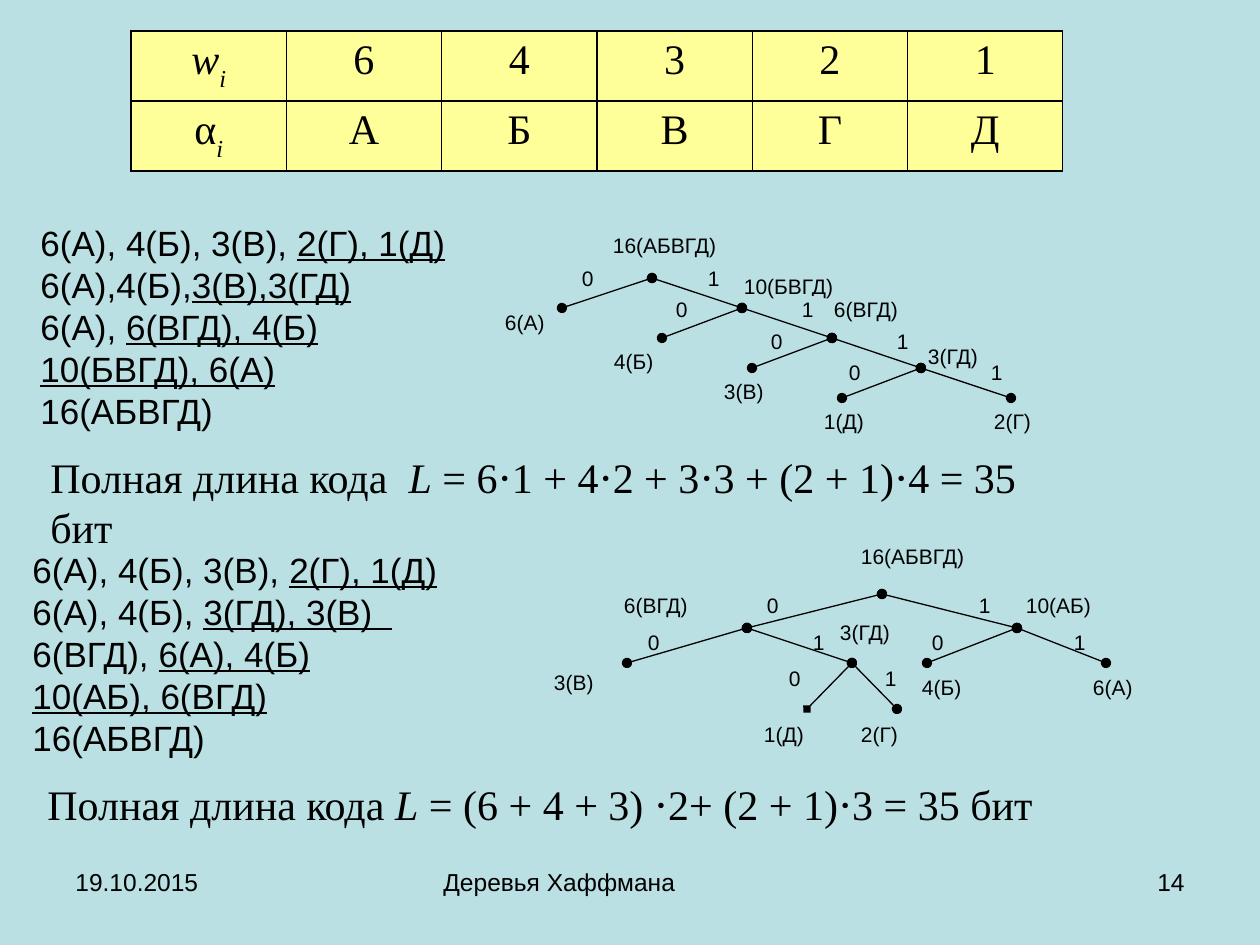
from lxml import etree
from pptx import Presentation, util as u
from pptx.dml.color import RGBColor
from pptx.enum import shapes, text
from pptx.oxml import ns

PX = 914400 // 126
BACKGROUND, INK, CELL = "BBE0E3", "000000", "FFFF99"
SANS, SERIF = "Arial", "Times New Roman"


def paint(color_format, color):
    """Give a fill a solid hex colour."""
    color_format.solid()
    color_format.fore_color.rgb = RGBColor.from_string(color)


def write(frame, lines, font, size, align=text.PP_ALIGN.LEFT):
    """Write lines of (words, style) runs; styles: u underline, i italic, s subscript."""
    frame.word_wrap = True
    for number, runs in enumerate(lines):
        paragraph = frame.add_paragraph() if number else frame.paragraphs[0]
        paragraph.alignment = align
        for words, style in runs:
            run = paragraph.add_run()
            run.text = words
            run.font.name, run.font.size = font, u.Pt(size)
            run.font.underline = "u" in style
            run.font.italic = "i" in style
            paint(run.font.fill, INK)
            if "s" in style:
                run.font._element.set("baseline", "-30000")


deck = Presentation()
deck.slide_width, deck.slide_height = 1260 * PX, 945 * PX
slide = deck.slides.add_slide(deck.slide_layouts[6])
paint(slide.background.fill, BACKGROUND)

# Weights and letters
weights = [[("w", "i"), ("i", "is")]] + [[(w, "")] for w in "64321"]
letters = [[("α", ""), ("i", "is")]] + [[(a, "")] for a in "АБВГД"]
code_table = slide.shapes.add_table(2, 6, 131 * PX, 31 * PX, 932 * PX, 140 * PX).table
code_table.first_row = code_table.horz_banding = False
for column in code_table.columns:
    column.width = 932 * PX // 6
for row, contents in enumerate((weights, letters)):
    for col, runs in enumerate(contents):
        cell = code_table.cell(row, col)
        write(cell.text_frame, [runs], SERIF, 24, text.PP_ALIGN.CENTER)
        paint(cell.fill, CELL)
        properties = cell._tc.get_or_add_tcPr()
        for place, side in enumerate(("lnL", "lnR", "lnT", "lnB")):
            border = etree.Element(ns.qn("a:" + side), w="9525")
            solid = etree.SubElement(border, ns.qn("a:solidFill"))
            etree.SubElement(solid, ns.qn("a:srgbClr"), val=INK)
            properties.insert(place, border)

# Trees: labels as (words, left, top, width, height), nodes by name, edges by node names
first_labels = [
    ("6(ВГД)", 832, 296, 79, 25), ("4(Б)", 612, 348, 48, 25), ("6(А)", 503, 309, 50, 30),
    ("10(БВГД)", 742, 273, 115, 25), ("3(ГД)", 926, 343, 79, 25), ("3(В)", 722, 378, 48, 25),
    ("1(Д)", 822, 408, 48, 25), ("2(Г)", 992, 408, 48, 25), ("16(АБВГД)", 611, 232, 112, 25),
]
for level, (zero_left, one_left) in enumerate([(580, 706), (674, 800), (769, 895), (847, 989)]):
    top = round(265 + 31.4 * level)
    first_labels += [("0", zero_left, top, 16, 32), ("1", one_left, top, 16, 32)]
first_nodes = {"АБВГД": (652, 278), "А": (562, 308), "БВГД": (742, 308), "Б": (662, 338),
               "ВГД": (832, 338), "В": (752, 368), "ГД": (921, 368), "Д": (842, 398),
               "Г": (1011, 398)}
first_edges = [("АБВГД", "А"), ("БВГД", "ВГД"), ("ГД", "Г"), ("БВГД", "Б"), ("ВГД", "В"),
               ("ГД", "Д"), ("АБВГД", "БВГД"), ("ВГД", "ГД")]

second_labels = [("3(ГД)", 838, 619, 94, 29)]
second_labels += [(bit, left, top, 24, 36) for bit, left, top in [
    ("1", 883, 665), ("1", 811, 629), ("1", 1072, 629), ("1", 977, 592),
    ("0", 930, 629), ("0", 646, 629), ("0", 765, 592), ("0", 787, 665)]]
second_labels += [
    ("10(АБ)", 1024, 592, 112, 29), ("6(ВГД)", 622, 592, 112, 29), ("3(В)", 552, 669, 82, 29),
    ("4(Б)", 920, 674, 82, 29), ("1(Д)", 762, 721, 82, 29), ("2(Г)", 859, 721, 82, 29),
    ("6(А)", 1091, 674, 82, 29), ("16(АБВГД)", 859, 543, 165, 29)]
second_nodes = {"АБВГД": (882, 594), "ВГД": (747, 628), "АБ": (1017, 628), "В": (627, 663),
                "ГД": (852, 663), "Б": (927, 663), "А": (1106, 663), "Д": (807, 709),
                "Г": (897, 709)}
second_edges = [("АБВГД", "ВГД"), ("ВГД", "В"), ("ВГД", "ГД"), ("ГД", "Д"), ("ГД", "Г"),
                ("АБ", "Б"), ("АБ", "А"), ("АБВГД", "АБ")]

for labels, nodes, edges, odd_edge in (
        (first_labels, first_nodes, first_edges, None),
        (second_labels, second_nodes, second_edges, ("ГД", "Д"))):
    for words, *bounds in labels:
        label = slide.shapes.add_shape(shapes.MSO_SHAPE.RECTANGLE, *(b * PX for b in bounds))
        label.shadow.inherit = False
        paint(label.fill, BACKGROUND)
        label.line.fill.background()
        frame = label.text_frame
        frame.margin_left = frame.margin_right = 2 * PX
        frame.margin_top = frame.margin_bottom = PX
        frame.vertical_anchor = text.MSO_ANCHOR.TOP
        write(frame, [[(words, "")]], SANS, 12)
    for parent, child in edges:
        ends = (n * PX for n in nodes[parent] + nodes[child])
        edge = slide.shapes.add_connector(shapes.MSO_CONNECTOR.STRAIGHT, *ends)
        edge.line.width = u.Pt(0.75)
        paint(edge.line.fill, INK)
        dot = "diamond" if (parent, child) == odd_edge else "oval"
        for end in ("a:headEnd", "a:tailEnd"):
            etree.SubElement(edge.line._get_or_add_ln(), ns.qn(end), type=dot)
        etree.SubElement(edge._element.spPr, ns.qn("a:effectLst"))

# Merging steps, code lengths and footer
first_steps = [
    [("6(А), 4(Б), 3(В), ", ""), ("2(Г), 1(Д)", "u")],
    [("6(А),4(Б),", ""), ("3(В),3(ГД)", "u")],
    [("6(А), ", ""), ("6(ВГД), 4(Б)", "u")],
    [("10(БВГД), 6(А)", "u")],
    [("16(АБВГД)", "")]]
second_steps = [
    [("6(А), 4(Б), 3(В), ", ""), ("2(Г), 1(Д)", "u")],
    [("6(А), 4(Б), ", ""), ("3(ГД), 3(В)  ", "u")],
    [("6(ВГД), ", ""), ("6(А), 4(Б)", "u")],
    [("10(АБ), 6(ВГД)", "u")],
    [("16(АБВГД)", "")]]
first_length = [[("Полная длина кода  ", ""), ("L\u00a0", "i"), (
    "=\u00a06⋅1\u00a0+\u00a04⋅2\u00a0+\u00a03⋅3\u00a0+\u00a0(2\u00a0+\u00a01)⋅4\u00a0=\u00a035 бит", "")]]
second_length = [[("Полная длина кода ", ""), ("L\u00a0", "i"), (
    "=\u00a0(6\u00a0+\u00a04\u00a0+\u00a03)\u00a0⋅2+\u00a0(2\u00a0+\u00a01)⋅3\u00a0=\u00a035 бит", "")]]
LEFT, RIGHT = text.PP_ALIGN.LEFT, text.PP_ALIGN.RIGHT
for bounds, lines, font, size, align in [
        ((28, 215, 436, 224), first_steps, SANS, 20, LEFT),
        ((20, 542, 436, 224), second_steps, SANS, 20, LEFT),
        ((38, 445, 1056, 63), first_length, SERIF, 24, LEFT),
        ((35, 772, 1138, 63), second_length, SERIF, 24, LEFT),
        ((63, 861, 294, 65), [[("19.10.2015", "")]], SANS, 14, LEFT),
        ((431, 861, 399, 65), [[("Деревья Хаффмана", "")]], SANS, 14, LEFT),
        ((903, 861, 294, 65), [[("14", "")]], SANS, 14, RIGHT)]:
    box = slide.shapes.add_textbox(*(b * PX for b in bounds))
    write(box.text_frame, lines, font, size, align)

deck.save("out.pptx")
